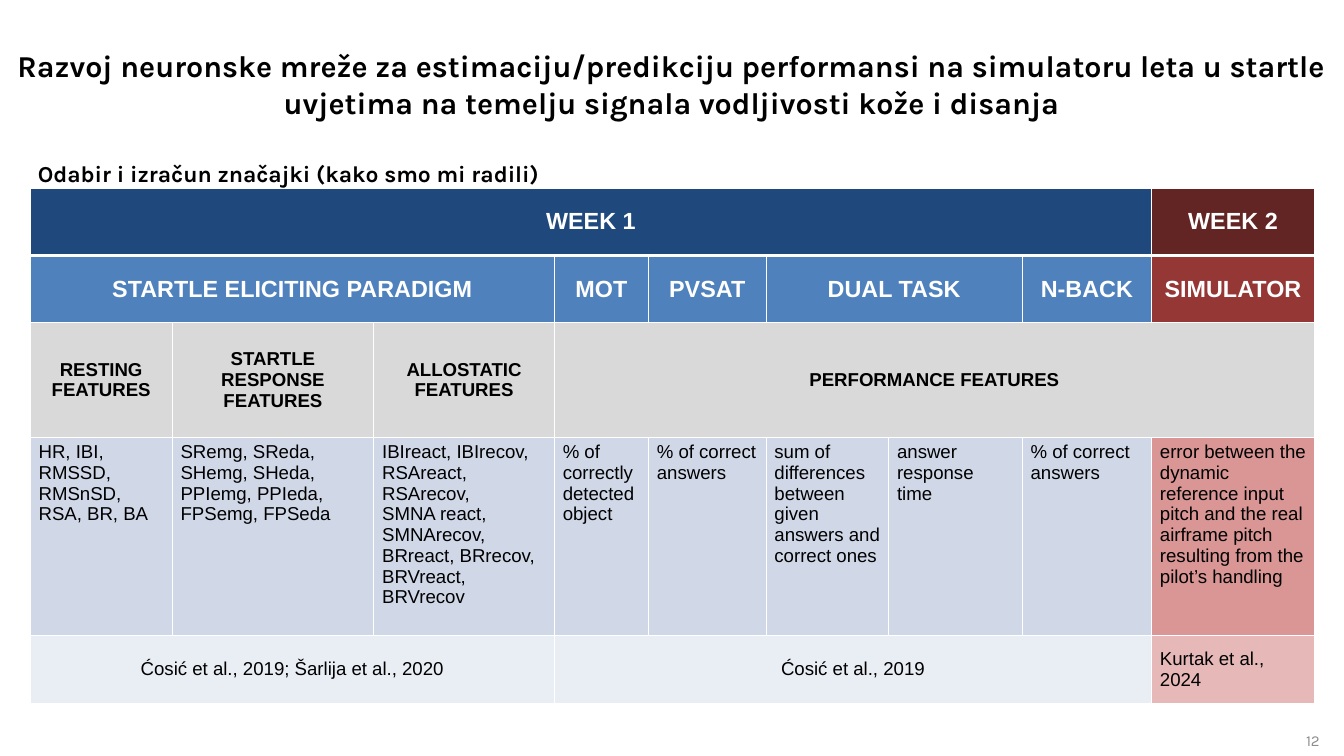
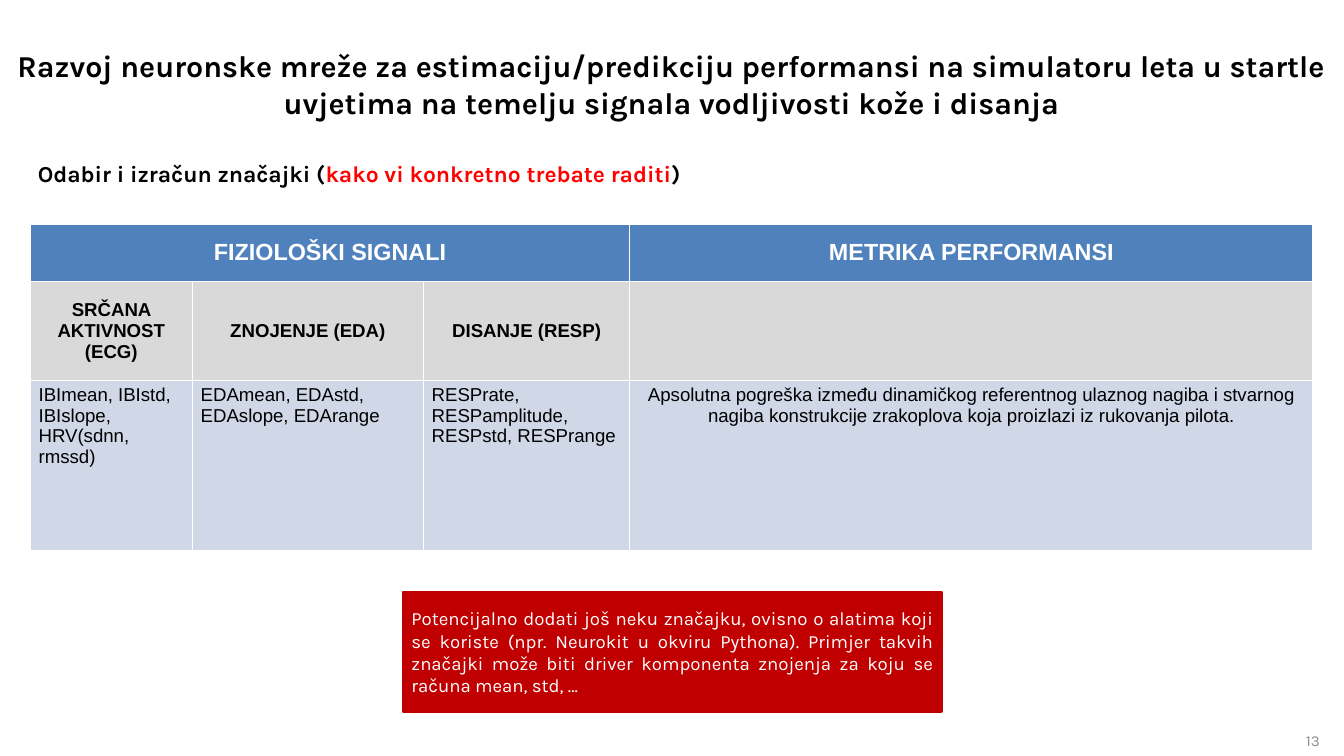
from dataclasses import dataclass

from lxml import etree
from pptx import Presentation
from pptx.dml.color import RGBColor
from pptx.enum.shapes import MSO_SHAPE
from pptx.enum.text import MSO_ANCHOR, MSO_AUTO_SIZE, PP_ALIGN
from pptx.oxml import parse_xml
from pptx.oxml.ns import qn
from pptx.util import Inches, Pt

LEFT, MID, RIGHT, FULL = (PP_ALIGN.LEFT, PP_ALIGN.CENTER, PP_ALIGN.RIGHT,
                          PP_ALIGN.JUSTIFY)
TOP, CENTER, LOW = MSO_ANCHOR.TOP, MSO_ANCHOR.MIDDLE, MSO_ANCHOR.BOTTOM
RECT = MSO_SHAPE.RECTANGLE
FIXED = MSO_AUTO_SIZE.NONE
NS = 'xmlns:a="http://schemas.openxmlformats.org/drawingml/2006/main"'


@dataclass(frozen=True)
class Theme:
    head_font: str = "Karla"
    cell_font: str = "Arial"
    black: str = "000000"
    white: str = "FFFFFF"
    gray: str = "8C8C8C"
    red: str = "FF0000"
    alert: str = "C00000"
    navy: str = "1F497D"
    blue: str = "4F81BD"
    silver: str = "D9D9D9"
    pale: str = "D0D8E8"
    ice: str = "E9EDF4"
    maroon: str = "632523"
    brick: str = "953735"
    rose: str = "D99694"
    blush: str = "E6B9B8"
    title: float = 26
    lead: float = 19.6
    head: float = 20
    text: float = 16
    page: float = 13


T = Theme()

# Text format of each kind of table row
HEAD = dict(size=T.head, color=T.white, bold=True, align=MID, anchor=CENTER)
SUB = dict(HEAD, size=T.text, color=T.black)
BODY = dict(SUB, bold=False, align=LEFT, anchor=TOP)
CITE = dict(SUB, bold=False)


def write(frame, text, size=T.text, color=T.black, bold=False, font=T.head_font,
          align=LEFT, anchor=CENTER, shadow=False):
    """Fill a frame; text is a string or a list of (words, colour) runs."""
    frame.word_wrap = True
    frame.vertical_anchor = anchor
    parts = [(text, color)] if isinstance(text, str) else text
    para = frame.paragraphs[0]
    para.alignment = align
    for words, tint in parts:
        for i, line in enumerate(words.split("\n")):
            if i:
                para = frame.add_paragraph()
                para.alignment = align
            run = para.add_run()
            run.text = line
            run.font.size, run.font.bold, run.font.name = Pt(size), bold, font
            run.font.color.rgb = RGBColor.from_string(tint)
            if shadow:
                fill = run._r.get_or_add_rPr().find(qn("a:solidFill"))
                fill.addnext(parse_xml(
                    f'<a:effectLst {NS}><a:outerShdw blurRad="38100" dist="38100" '
                    'dir="2700000" algn="tl"><a:srgbClr val="000000">'
                    '<a:alpha val="43137"/></a:srgbClr></a:outerShdw></a:effectLst>'))


def edge(cell, side, width):
    """Draw one white cell border; call before the cell is filled."""
    cell._tc.get_or_add_tcPr().append(parse_xml(
        f'<a:{side} {NS} w="{Pt(width)}"><a:solidFill>'
        f'<a:srgbClr val="{T.white}"/></a:solidFill></a:{side}>'))


def place(shape, *box):
    shape.left, shape.top, shape.width, shape.height = map(Inches, box)


class Deck:
    def __init__(self):
        self.file = Presentation()
        self.file.slide_width, self.file.slide_height = Inches(16), Inches(9)

    def start(self, title, lead, page):
        """Add a slide with its title, lead line and page number."""
        self.slide = self.file.slides.add_slide(self.file.slide_layouts[1])
        head, body = self.slide.placeholders
        place(head, 0, 0.5, 16, 0.98)
        place(body, 0.35, 1.85, 15.29, 0.43)
        for shape in (head, body):
            shape.text_frame.auto_size = FIXED
        write(head.text_frame, title, size=T.title, bold=True, align=MID,
              anchor=LOW, shadow=True)
        write(body.text_frame, lead, size=T.lead, bold=True, anchor=TOP)
        props = body.text_frame.paragraphs[0]._p.get_or_add_pPr()
        props.set("marL", "0")
        props.set("indent", "0")
        etree.SubElement(props, qn("a:buNone"))
        note = self.slide.shapes.add_textbox(*map(Inches, (12.21, 8.57, 3.6, 0.48)))
        write(note.text_frame, page, size=T.page, color=T.gray, align=RIGHT)

    def table(self, left, top, cols, highs, rows, heavy):
        """Rows are (format, cells), cells (text, fill, span, changes);
        heavy is the number of the thick horizontal rule."""
        box = map(Inches, (left, top, sum(cols), sum(highs)))
        grid = self.slide.shapes.add_table(len(highs), len(cols), *box).table
        grid.first_row = grid.horz_banding = False
        for col, width in zip(grid.columns, cols):
            col.width = Inches(width)
        for row, high in zip(grid.rows, highs):
            row.height = Inches(high)
        for r, (style, cells) in enumerate(rows):
            c = 0
            for text, fill, span, *more in cells:
                for k in range(c, c + span):
                    cell = grid.cell(r, k)
                    for side, at in (("lnL", None), ("lnR", None),
                                     ("lnT", r), ("lnB", r + 1)):
                        edge(cell, side, 3 if at == heavy else 1)
                    cell.fill.solid()
                    cell.fill.fore_color.rgb = RGBColor.from_string(fill)
                cell = grid.cell(r, c)
                if span > 1:
                    cell.merge(grid.cell(r, c + span - 1))
                if text:
                    form = dict(style, font=T.cell_font, **{})
                    for change in more:
                        form.update(change)
                    cell.vertical_anchor = form["anchor"]
                    write(cell.text_frame, text, **dict(form, anchor=None))
                c += span

    def callout(self, text, *box):
        shape = self.slide.shapes.add_shape(RECT, *map(Inches, box))
        shape.shadow.inherit = False
        shape.fill.solid()
        shape.fill.fore_color.rgb = RGBColor.from_string(T.alert)
        shape.line.color.rgb = RGBColor.from_string(T.alert)
        shape.line.width = Pt(2)
        write(shape.text_frame, text, color=T.white, align=FULL)


def same(fill, *texts):
    """Single-column cells that share one fill."""
    return [(text, fill, 1) for text in texts]


TITLE = ("Razvoj neuronske mreže za estimaciju/predikciju performansi na simulatoru "
         "leta u startle uvjetima na temelju signala vodljivosti kože i disanja")


def main():
    deck = Deck()

    # Features used so far
    deck.start(TITLE, "Odabir i izračun značajki (kako smo mi radili)", "12")
    deck.table(
        0.36, 2.24, [1.69, 2.4, 2.15, 1.12, 1.4, 1.46, 1.59, 1.54, 1.94],
        [0.8, 0.8, 1.37, 2.36, 0.8], [
            (HEAD, [("WEEK 1", T.navy, 8), ("WEEK 2", T.maroon, 1)]),
            (HEAD, [("STARTLE ELICITING PARADIGM", T.blue, 3),
                    *same(T.blue, "MOT", "PVSAT"), ("DUAL TASK", T.blue, 2),
                    ("N-BACK", T.blue, 1), ("SIMULATOR", T.brick, 1)]),
            (SUB, [*same(T.silver, "RESTING FEATURES", "STARTLE RESPONSE FEATURES",
                         "ALLOSTATIC FEATURES"),
                   ("PERFORMANCE FEATURES", T.silver, 6)]),
            (BODY, [*same(T.pale, "HR, IBI, RMSSD, RMSnSD, RSA, BR, BA",
                          "SRemg, SReda, SHemg, SHeda, PPIemg, PPIeda,\n"
                          "FPSemg, FPSeda",
                          "IBIreact, IBIrecov,\nRSAreact, RSArecov,\n"
                          "SMNA react, SMNArecov, BRreact, BRrecov, "
                          "BRVreact, BRVrecov",
                          "% of correctly detected object",
                          "% of correct answers",
                          "sum of differences between given answers and "
                          "correct ones",
                          "answer response time", "% of correct answers"),
                    ("error between the dynamic reference input pitch and the real "
                     "airframe pitch resulting from the pilot’s handling",
                     T.rose, 1)]),
            (CITE, [("Ćosić et al., 2019; Šarlija et al., 2020", T.ice, 3),
                    ("Ćosić et al., 2019", T.ice, 5),
                    ("Kurtak et al., 2024", T.blush, 1, dict(align=LEFT))]),
        ], heavy=1)

    # Features to compute
    deck.start(TITLE, [("Odabir i izračun značajki (", T.black),
                       ("kako vi konkretno trebate raditi", T.red),
                       (")", T.black)], "13")
    deck.table(
        0.36, 2.66, [1.93, 2.75, 2.46, 8.13], [0.69, 1.18, 2.03], [
            (HEAD, [("FIZIOLOŠKI SIGNALI", T.blue, 3),
                    ("METRIKA PERFORMANSI", T.blue, 1)]),
            (SUB, same(T.silver, "SRČANA AKTIVNOST (ECG)", "ZNOJENJE (EDA)",
                       "DISANJE (RESP)", "")),
            (BODY, [*same(T.pale, "IBImean, IBIstd, IBIslope, HRV(sdnn, rmssd)",
                          "EDAmean, EDAstd, EDAslope, EDArange",
                          "RESPrate, RESPamplitude, RESPstd, RESPrange"),
                    ("Apsolutna pogreška između dinamičkog referentnog ulaznog "
                     "nagiba i stvarnog nagiba konstrukcije zrakoplova koja "
                     "proizlazi iz rukovanja pilota.", T.pale, 1,
                     dict(align=MID))]),
        ], heavy=0)
    deck.callout("Potencijalno dodati još neku značajku, ovisno o alatima koji se "
                 "koriste (npr. Neurokit u okviru Pythona). Primjer takvih značajki "
                 "može biti driver komponenta znojenja za koju se računa mean, "
                 "std, ...", 4.8, 7.05, 6.41, 1.42)

    deck.file.save("out.pptx")


if __name__ == "__main__":
    main()
